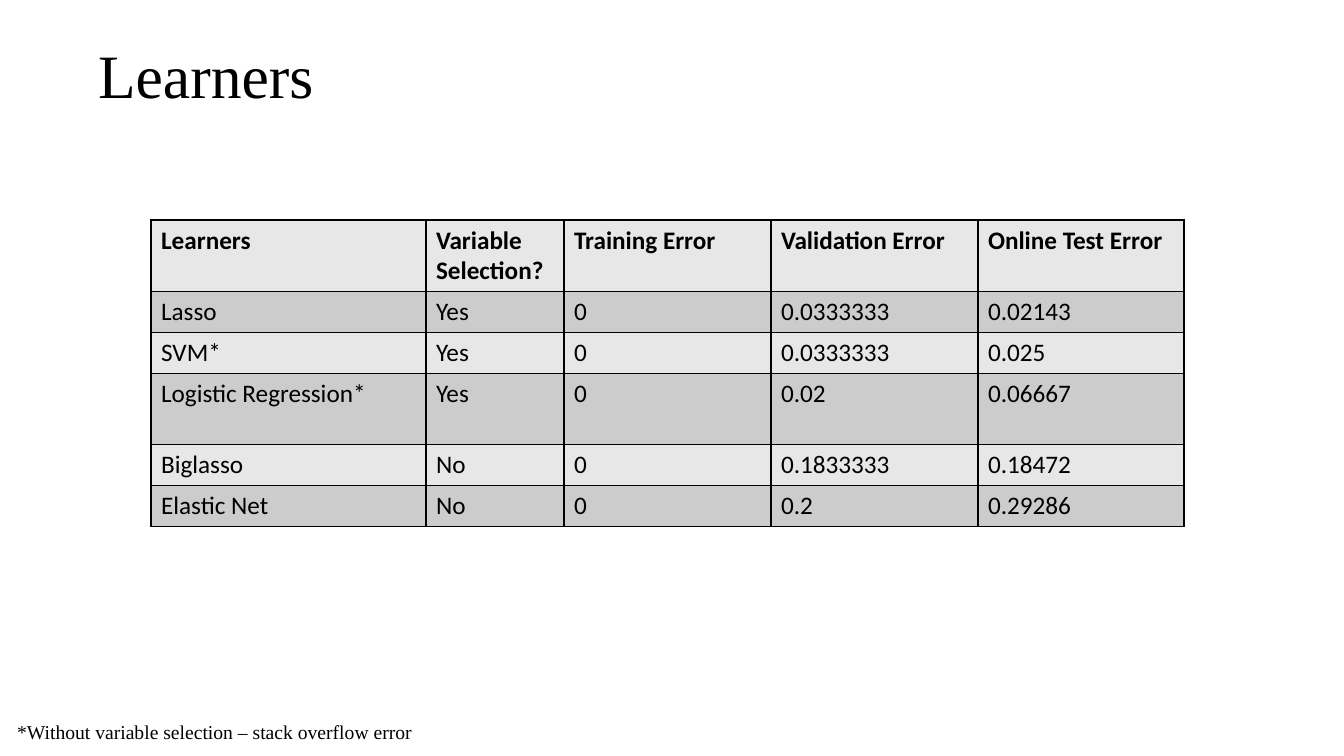
from lxml.etree import SubElement
from pptx import Presentation
from pptx.dml.color import RGBColor
from pptx.enum.text import MSO_ANCHOR, MSO_AUTO_SIZE, PP_ALIGN
from pptx.oxml.ns import qn
from pptx.util import Pt

SCALE = 914400 / 100.8
HUES = {"ink": "000000", "light": "E7E7E7", "dark": "CCCCCC"}
HEAD = ["Learners", "Variable Selection?", "Training Error",
        "Validation Error", "Online Test Error"]
ROWS = [
    ["Lasso", "Yes", "0", "0.0333333", "0.02143"],
    ["SVM*", "Yes", "0", "0.0333333", "0.025"],
    ["Logistic Regression*", "Yes", "0", "0.02", "0.06667"],
    ["Biglasso", "No", "0", "0.1833333", "0.18472"],
    ["Elastic Net", "No", "0", "0.2", "0.29286"],
]
WIDTHS = [275, 138, 207, 207, 206]
HEIGHTS = [71, 41, 41, 71, 41, 41]


def px(size):
    return round(size * SCALE)


def hue(name):
    return RGBColor.from_string(HUES[name])


def write(frame, text, size=18, font="Calibri", bold=False, space=1.0):
    frame.word_wrap = True
    para = frame.paragraphs[0]
    para.alignment = PP_ALIGN.LEFT
    para.line_spacing = space
    para.space_before = Pt(0)
    run = para.add_run()
    run.text = text
    run.font.size = Pt(size)
    run.font.name = font
    run.font.bold = bold
    run.font.color.rgb = hue("ink")
    return para


def place(holder, box, text, size, anchor):
    holder.left, holder.top, holder.width, holder.height = map(px, box)
    frame = holder.text_frame
    frame.auto_size = MSO_AUTO_SIZE.NONE
    frame.vertical_anchor = anchor
    return write(frame, text, size=size, font="Times New Roman", space=0.9)


def add_title(slide, box):
    place(slide.shapes.title, box, "Learners", 44, MSO_ANCHOR.MIDDLE)


def add_note(slide, box):
    para = place(slide.placeholders[1], box,
                 "*Without variable selection – stack overflow error",
                 14, MSO_ANCHOR.TOP)
    props = para._p.get_or_add_pPr()
    props.set("marL", "0")
    props.set("indent", "0")
    SubElement(props, qn("a:buNone"))


def edge(cell):
    props = cell._tc.get_or_add_tcPr()
    for side in ("lnL", "lnR", "lnT", "lnB"):
        line = SubElement(props, qn("a:" + side), w=str(Pt(1)))
        fill = SubElement(line, qn("a:solidFill"))
        SubElement(fill, qn("a:srgbClr"), val=HUES["ink"])


def add_scores(slide, box):
    data = [HEAD] + ROWS
    table = slide.shapes.add_table(len(data), len(HEAD), *map(px, box)).table
    for col, width in zip(table.columns, WIDTHS):
        col.width = px(width)
    for i, (row, height) in enumerate(zip(data, HEIGHTS)):
        table.rows[i].height = px(height)
        for j, text in enumerate(row):
            cell = table.cell(i, j)
            write(cell.text_frame, text, bold=i == 0)
            edge(cell)
            cell.fill.solid()
            cell.fill.fore_color.rgb = hue("dark" if i % 2 else "light")


deck = Presentation()
deck.slide_width, deck.slide_height = px(1344), px(756)
slide = deck.slides.add_slide(deck.slide_layouts[1])
add_title(slide, (88, 32, 1159, 93))
add_note(slide, (7, 718, 565, 38))
add_scores(slide, (151, 220, sum(WIDTHS), sum(HEIGHTS)))
deck.save("out.pptx")
